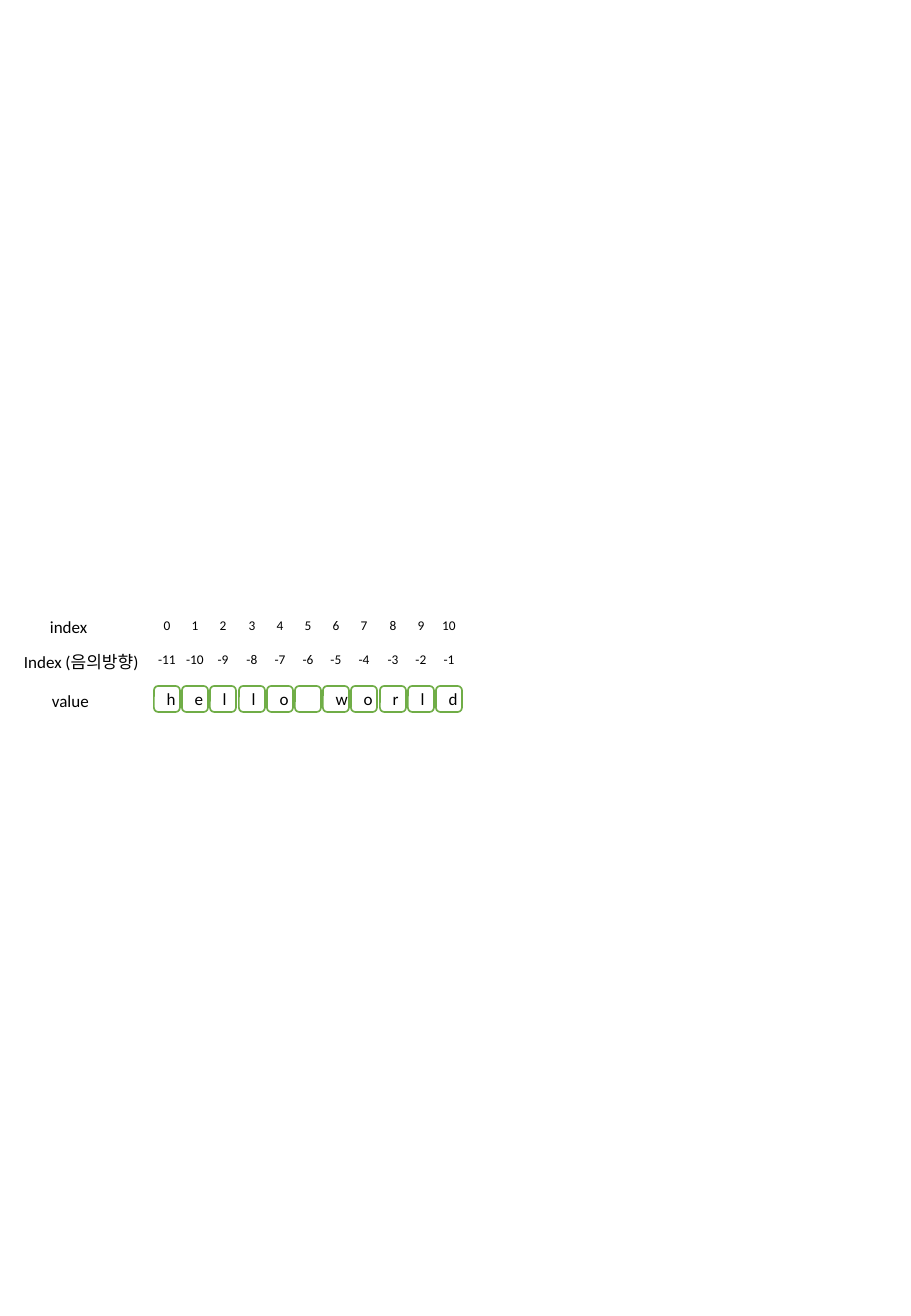
from pptx import Presentation
from pptx import util as u
from pptx.dml.color import RGBColor
from pptx.enum import shapes, text

WORD = "hello world"
COUNT = len(WORD)
BLACK, WHITE, GREEN = "000000", "FFFFFF", "70AD47"

# label, label box (left, top, width), cell texts, cell top, inset, size, outline
ROWS = [
    ("index", (38, 611, 67), range(COUNT), 612, 2, 7.9, None),
    ("value", (40, 685, 66), WORD, 686, 12, 10.1, GREEN),
    ("Index (음의방향)", (12, 646, 153), range(-COUNT, 0), 646, 0, 7.9, None),
]
LEFT, PITCH, CELL = 154, 28.2, 26
LABEL_H, LABEL_SIZE = 33, 10.1


def px(n):
    return u.Emu(round(n * 914400 / 121.5))


def color(code):
    return RGBColor.from_string(code)


def write(frame, words, size):
    para = frame.paragraphs[0]
    para.text = words
    for run in para.runs:
        run.font.name = "Calibri"
        run.font.size = u.Pt(size)
        run.font.color.rgb = color(BLACK)
    return para


def add_cell(slide, col, top, words, inset, size, outline):
    box = slide.shapes.add_shape(
        shapes.MSO_SHAPE.ROUNDED_RECTANGLE,
        px(round(LEFT + col * PITCH)), px(top), px(CELL), px(CELL))
    box.shadow.inherit = False
    box.fill.solid()
    box.fill.fore_color.rgb = color(WHITE)
    if outline:
        box.line.color.rgb = color(outline)
        box.line.width = u.Pt(1)
    else:
        box.line.fill.background()
    frame = box.text_frame
    frame.margin_left = frame.margin_right = px(inset)
    frame.margin_top = frame.margin_bottom = px(min(inset, 6))
    frame.vertical_anchor = text.MSO_ANCHOR.MIDDLE
    write(frame, words, size).alignment = text.PP_ALIGN.CENTER


def add_label(slide, words, left, top, width):
    box = slide.shapes.add_textbox(px(left), px(top), px(width), px(LABEL_H))
    frame = box.text_frame
    frame.word_wrap = False
    frame.auto_size = text.MSO_AUTO_SIZE.SHAPE_TO_FIT_TEXT
    write(frame, words, LABEL_SIZE)


def main():
    deck = Presentation()
    deck.slide_width, deck.slide_height = px(911), px(1316)
    slide = deck.slides.add_slide(deck.slide_layouts[6])
    for label, place, items, top, inset, size, outline in ROWS:
        for col, item in enumerate(items):
            add_cell(slide, col, top, str(item).strip(), inset, size, outline)
        add_label(slide, label, *place)
    deck.save("out.pptx")


if __name__ == "__main__":
    main()
